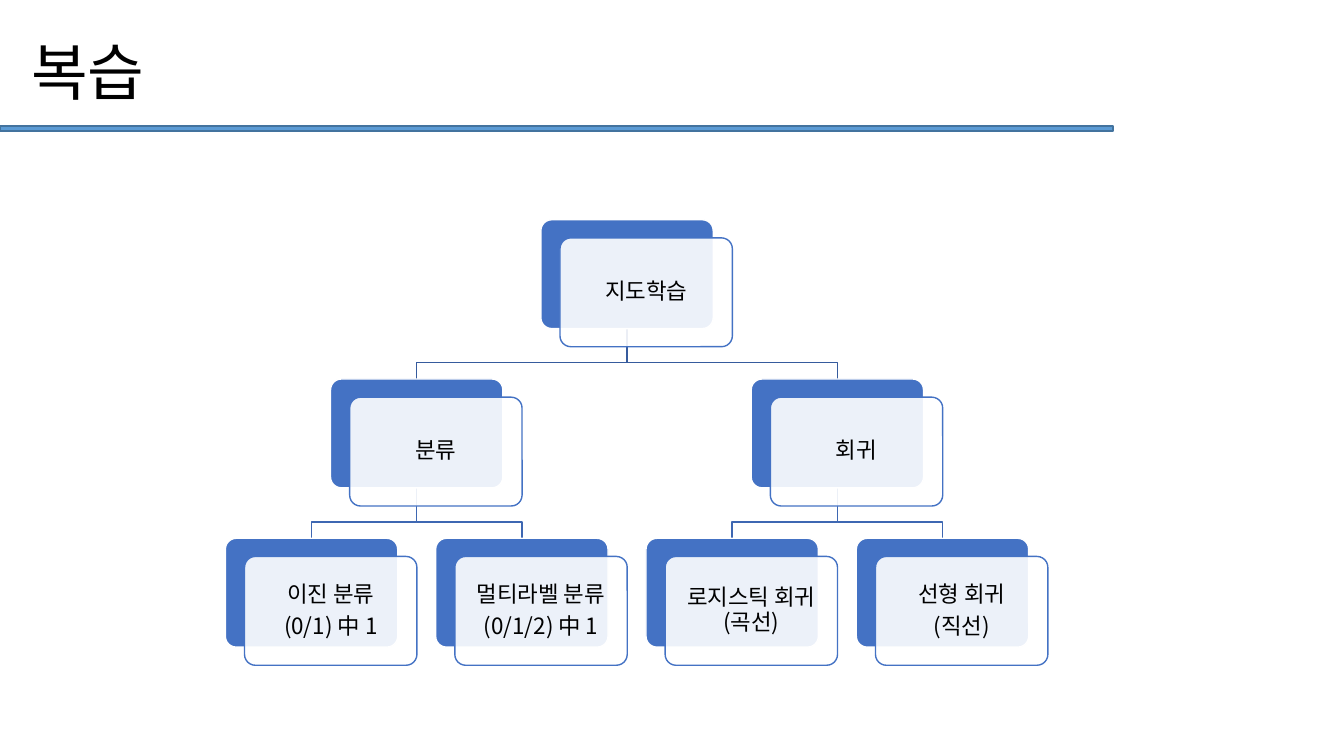
import pptx
import pptx.dml.color
import pptx.enum.shapes
import pptx.enum.text
import pptx.oxml.ns
import pptx.util
from lxml import etree

Inches = pptx.util.Inches
Pt = pptx.util.Pt
RGBColor = pptx.dml.color.RGBColor
MSO_SHAPE = pptx.enum.shapes.MSO_SHAPE
PP_ALIGN = pptx.enum.text.PP_ALIGN
MSO_ANCHOR = pptx.enum.text.MSO_ANCHOR

FONT = "Noto Sans CJK KR"
BLACK = RGBColor(0x00, 0x00, 0x00)
WHITE = RGBColor(0xFF, 0xFF, 0xFF)
CARD_BLUE = RGBColor(0x44, 0x72, 0xC4)
RULE_BLUE = RGBColor(0x5B, 0x9B, 0xD5)
RULE_EDGE = RGBColor(0x43, 0x73, 0x9E)
BRANCH_COLORS = [RGBColor(0x36, 0x5B, 0x9D), RGBColor(0x3E, 0x67, 0xB2)]

CARD_WIDTH, CARD_HEIGHT = 1.71, 1.08
FRONT_SHIFT_X, FRONT_SHIFT_Y = 0.19, 0.18
FIRST_LEAF_X, LEAF_STEP = 3.09, 2.086
FIRST_LEVEL_Y, LEVEL_STEP = 2.18, 1.58
BEND_DROP = 0.34

TITLE_FORMAT = {"alignment": PP_ALIGN.LEFT, "line_spacing": 0.9}
LABEL_FORMAT = {"alignment": PP_ALIGN.CENTER, "line_spacing": 0.9,
                "space_after": Pt(5.6)}
LABEL_FRAME = {"word_wrap": True, "vertical_anchor": MSO_ANCHOR.MIDDLE,
               "margin_left": Inches(0.1), "margin_right": Inches(0.1),
               "margin_top": Inches(0.1), "margin_bottom": Inches(0.1)}

# Each node is (lines of its label, child nodes).
LEARNING_TREE = (["지도학습"], [
    (["분류"], [
        (["이진 분류", "(0/1) 中 1"], []),
        (["멀티라벨 분류", "(0/1/2) 中 1"], []),
    ]),
    (["회귀"], [
        (["로지스틱 회귀(곡선)"], []),
        (["선형 회귀", "(직선)"], []),
    ]),
])


def apply_format(target, values):
    """Set each named attribute of the target."""
    for name, value in values.items():
        setattr(target, name, value)


def write_lines(text_frame, lines, size, paragraph_format):
    """Write one formatted paragraph per line."""
    for index, line in enumerate(lines):
        paragraph = (text_frame.add_paragraph() if index
                     else text_frame.paragraphs[0])
        apply_format(paragraph, paragraph_format)
        run = paragraph.add_run()
        run.text = line
        apply_format(run.font, {"name": FONT, "size": Pt(size)})
        run.font.color.rgb = BLACK
        east_asian = etree.SubElement(run.font._element,
                                      pptx.oxml.ns.qn("a:ea"))
        east_asian.set("typeface", FONT)


def add_box(slide, preset, bounds, fill, line):
    """Add a flat, filled preset shape with a one-point outline."""
    shape = slide.shapes.add_shape(preset, *map(Inches, bounds))
    shape.shadow.inherit = False
    shape.fill.solid()
    shape.fill.fore_color.rgb = fill
    shape.line.color.rgb = line
    shape.line.width = Pt(1)
    return shape


def set_opacity(shape, percent):
    """Make a solid fill partly transparent."""
    color = shape._element.spPr.find(".//" + pptx.oxml.ns.qn("a:srgbClr"))
    alpha = etree.SubElement(color, pptx.oxml.ns.qn("a:alpha"))
    alpha.set("val", str(percent * 1000))


def add_title(slide, text):
    """Place the title and the rule under it."""
    title = slide.shapes.title
    apply_format(title, {"left": Inches(0.21), "top": Inches(0.02),
                         "width": Inches(11.5), "height": Inches(1.45)})
    title.text_frame.vertical_anchor = MSO_ANCHOR.MIDDLE
    write_lines(title.text_frame, [text], 44, TITLE_FORMAT)
    add_box(slide, MSO_SHAPE.RECTANGLE, (0, 1.25, 11.04, 0.05),
            RULE_BLUE, RULE_EDGE)


def add_card(slide, center_x, top, lines):
    """Add a blue back card and a translucent labelled card over it."""
    left = center_x - CARD_WIDTH / 2
    bounds = (left, top, CARD_WIDTH, CARD_HEIGHT)
    back = add_box(slide, MSO_SHAPE.ROUNDED_RECTANGLE, bounds,
                   CARD_BLUE, WHITE)
    bounds = (left + FRONT_SHIFT_X, top + FRONT_SHIFT_Y,
              CARD_WIDTH, CARD_HEIGHT)
    front = add_box(slide, MSO_SHAPE.ROUNDED_RECTANGLE, bounds,
                    WHITE, CARD_BLUE)
    set_opacity(front, 90)
    for card in (back, front):
        card.adjustments[0] = 0.1
    apply_format(front.text_frame, LABEL_FRAME)
    write_lines(front.text_frame, lines, 16, LABEL_FORMAT)


def add_branch(slide, parent_x, child_x, level):
    """Add the bent line from a parent card down to a child card."""
    child_top = level_top(level + 1)
    start_y = level_top(level) + CARD_HEIGHT
    bend_y = start_y + BEND_DROP
    builder = slide.shapes.build_freeform(Inches(parent_x), Inches(start_y))
    corners = [(parent_x, bend_y), (child_x, bend_y), (child_x, child_top)]
    builder.add_line_segments([(Inches(x), Inches(y)) for x, y in corners],
                              close=False)
    branch = builder.convert_to_shape()
    branch.shadow.inherit = False
    branch.fill.background()
    branch.line.color.rgb = BRANCH_COLORS[level]
    branch.line.width = Pt(1)


def level_top(level):
    """Return the top of the back cards on a level."""
    return FIRST_LEVEL_Y + level * LEVEL_STEP


def lay_out(node, level, cards, branches):
    """Collect cards and branches; parents sit midway over children."""
    lines, children = node
    child_centers = [lay_out(child, level + 1, cards, branches)
                     for child in children]
    if children:
        center_x = sum(child_centers) / len(child_centers)
    else:
        leaf_count = sum(1 for card in cards if card[3])
        center_x = FIRST_LEAF_X + leaf_count * LEAF_STEP
    cards.append((center_x, level_top(level), lines, not children))
    branches.extend((center_x, child_x, level) for child_x in child_centers)
    return center_x


def add_tree(slide, root):
    """Draw the tree with its branches behind the cards."""
    cards, branches = [], []
    lay_out(root, 0, cards, branches)
    for branch in branches:
        add_branch(slide, *branch)
    for center_x, top, lines, _ in cards:
        add_card(slide, center_x, top, lines)


def main():
    """Build and save the slide."""
    presentation = pptx.Presentation()
    apply_format(presentation, {"slide_width": Inches(13.33),
                                "slide_height": Inches(7.5)})
    slide = presentation.slides.add_slide(presentation.slide_layouts[5])
    add_title(slide, "복습")
    add_tree(slide, LEARNING_TREE)
    presentation.save("out.pptx")


main()
